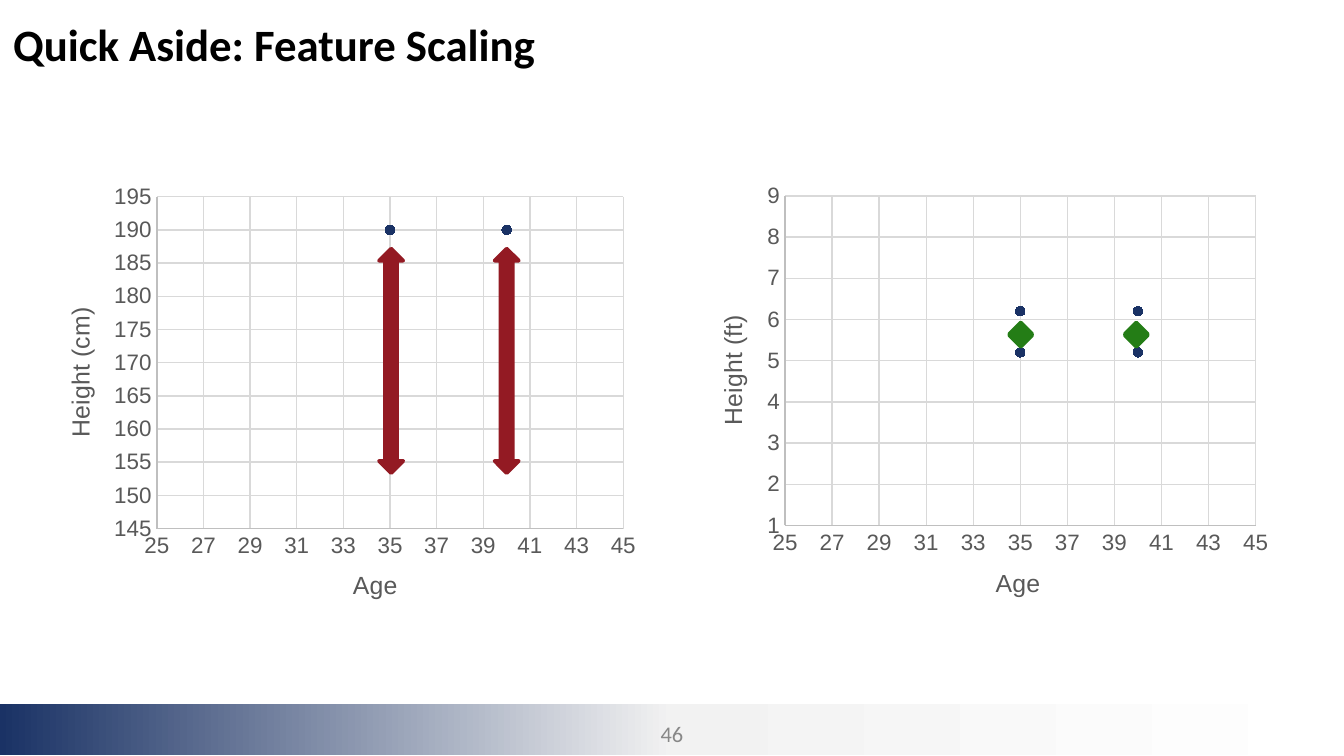
import copy
from dataclasses import dataclass

import lxml.etree
import pptx
import pptx.chart.data
import pptx.dml.color
import pptx.enum.chart
import pptx.enum.shapes
import pptx.enum.text
import pptx.oxml.ns
import pptx.util

Inches = pptx.util.Inches
Pt = pptx.util.Pt
qn = pptx.oxml.ns.qn


@dataclass(frozen=True)
class Theme:
    navy: str = "1A3265"
    pale: str = "F2F2F2"
    white: str = "FFFFFF"
    black: str = "000000"
    page_number: str = "888888"
    axis_text: str = "595959"
    axis_line: str = "BFBFBF"
    grid: str = "D9D9D9"
    red: str = "931A23"
    green: str = "247D16"
    heading_font: str = "Calibri"
    chart_font: str = "Arial"
    heading_size: float = 24
    number_size: float = 12
    label_size: float = 12
    axis_title_size: float = 13.3


THEME = Theme()


@dataclass(frozen=True)
class ScatterPanel:
    left: float
    unit: str
    tall: float
    short: float
    low: float
    high: float
    step: float
    plot: tuple
    age_title_at: tuple
    height_title_at: tuple


@dataclass(frozen=True)
class GapArrow:
    left: float
    top: float
    width: float
    height: float
    color: str


AGES = (35, 40)
PANELS = (
    ScatterPanel(0.44, "cm", 190, 160, 145, 195, 5, (0.165, 0.03, 0.787, 0.784),
                 (0.488, 0.898), (0.001, 0.28)),
    ScatterPanel(5.14, "ft", 6.2, 5.2, 1, 9, 1, (0.159, 0.021, 0.794, 0.784),
                 (0.507, 0.894), (0.036, 0.295)),
)
ARROW_SPACING = 0.86
ARROWS = [
    GapArrow(left + index * ARROW_SPACING, top, width, height, color)
    for left, top, width, height, color in (
        (2.82, 1.85, 0.18, 1.67, THEME.red),
        (7.51, 2.4, 0.17, 0.18, THEME.green),
    )
    for index in range(len(AGES))
]


def rgb(color: str) -> pptx.dml.color.RGBColor:
    return pptx.dml.color.RGBColor.from_string(color)


def style_font(font, name: str, size: float, color: str, bold: bool = False) -> None:
    font.name, font.size, font.bold = name, Pt(size), bold
    font.color.rgb = rgb(color)


def add_footer_band(page) -> None:
    band = page.shapes.add_shape(pptx.enum.shapes.MSO_SHAPE.RECTANGLE,
                                 Inches(0), Inches(5.24), Inches(10), Inches(0.38))
    band.shadow.inherit = False
    band.line.fill.background()
    band.fill.gradient()
    band.fill.gradient_angle = 0
    # A third stop is needed between the two default ones
    stop_list = band._element.spPr.find(qn("a:gradFill")).find(qn("a:gsLst"))
    stop_list.insert(1, copy.deepcopy(stop_list[0]))
    colors = (THEME.navy, THEME.pale, THEME.white)
    for stop, position, color in zip(band.fill.gradient_stops, (0, 0.5, 1), colors):
        stop.position = position
        stop.color.rgb = rgb(color)


def add_label(page, text: str, frame: tuple, inset: float, size: float, color: str,
              align, bold: bool = False) -> None:
    box = page.shapes.add_textbox(*map(Inches, frame))
    text_frame = box.text_frame
    text_frame.word_wrap = True
    text_frame.vertical_anchor = pptx.enum.text.MSO_ANCHOR.MIDDLE
    text_frame.margin_top = text_frame.margin_bottom = Inches(inset)
    text_frame.text = text
    para = text_frame.paragraphs[0]
    para.alignment = align
    style_font(para.runs[0].font, THEME.heading_font, size, color, bold)


def make_layout(inner: bool, **fractions: float):
    layout = lxml.etree.Element(qn("c:layout"))
    manual = lxml.etree.SubElement(layout, qn("c:manualLayout"))
    settings = {"layoutTarget": "inner"} if inner else {}
    settings.update(xMode="edge", yMode="edge", **fractions)
    for tag, value in settings.items():
        lxml.etree.SubElement(manual, qn("c:" + tag)).set("val", str(value))
    return layout


def remove_layout(parent) -> None:
    for old in parent.findall(qn("c:layout")):
        parent.remove(old)


def style_axis(axis, title: str, title_at: tuple, low: float, high: float,
               step: float, rotation: int) -> None:
    axis.minimum_scale, axis.maximum_scale, axis.major_unit = low, high, step
    axis.major_tick_mark = axis.minor_tick_mark = pptx.enum.chart.XL_TICK_MARK.NONE
    axis.has_major_gridlines = True
    for line, color in ((axis.format.line, THEME.axis_line),
                        (axis.major_gridlines.format.line, THEME.grid)):
        line.color.rgb = rgb(color)
        line.width = Pt(0.75)
    axis.tick_labels.number_format = "General"
    axis.tick_labels.number_format_is_linked = False
    style_font(axis.tick_labels.font, THEME.chart_font, THEME.label_size, THEME.axis_text)

    text_frame = axis.axis_title.text_frame
    text_frame.text = title
    style_font(text_frame.paragraphs[0].runs[0].font, THEME.chart_font,
               THEME.axis_title_size, THEME.axis_text)
    element = axis.axis_title._element
    element.find(".//" + qn("a:bodyPr")).set("rot", str(rotation))
    remove_layout(element)
    element.find(qn("c:tx")).addnext(make_layout(False, x=title_at[0], y=title_at[1]))


def add_scatter(page, panel: ScatterPanel) -> None:
    data = pptx.chart.data.XyChartData()
    points = data.add_series("Series 1")
    for height in (panel.tall, panel.short):
        for age in AGES:
            points.add_data_point(age, height)
    chart = page.shapes.add_chart(
        pptx.enum.chart.XL_CHART_TYPE.XY_SCATTER, Inches(panel.left), Inches(1.37),
        Inches(4.41), Inches(3.15), data).chart
    chart.has_legend = chart.has_title = False
    style_font(chart.font, THEME.chart_font, 10, THEME.black)
    plot = chart.plots[0]
    plot.vary_by_categories = False

    # Markers only, with no joining line
    series = plot.series[0]
    series.smooth = False
    series.format.line.fill.background()
    series.marker.style = pptx.enum.chart.XL_MARKER_STYLE.CIRCLE
    series.marker.size = 5
    series.marker.format.fill.solid()
    series.marker.format.fill.fore_color.rgb = rgb(THEME.navy)
    series.marker.format.line.color.rgb = rgb(THEME.navy)

    style_axis(chart.category_axis, "Age", panel.age_title_at, 25, 45, 2, 0)
    style_axis(chart.value_axis, f"Height ({panel.unit})", panel.height_title_at,
               panel.low, panel.high, panel.step, -5400000)
    area = chart._chartSpace.find(".//" + qn("c:plotArea"))
    remove_layout(area)
    area.insert(0, make_layout(True, **dict(zip("xywh", panel.plot))))


def add_gap_arrow(page, arrow: GapArrow) -> None:
    shape = page.shapes.add_shape(
        pptx.enum.shapes.MSO_SHAPE.UP_DOWN_ARROW, Inches(arrow.left), Inches(arrow.top),
        Inches(arrow.width), Inches(arrow.height))
    shape.shadow.inherit = False
    shape.fill.solid()
    shape.fill.fore_color.rgb = shape.line.color.rgb = rgb(arrow.color)
    shape.line.width = Pt(2)
    lxml.etree.SubElement(shape._element.spPr.find(qn("a:ln")), qn("a:round"))


def main() -> None:
    deck = pptx.Presentation()
    deck.slide_width, deck.slide_height = Inches(10), Inches(10 * 9 / 16)
    page = deck.slides.add_slide(deck.slide_layouts[6])

    # Footer, heading and page number
    add_footer_band(page)
    align = pptx.enum.text.PP_ALIGN
    add_label(page, "Quick Aside: Feature Scaling", (0, 0, 10, 0.65), 0.1,
              THEME.heading_size, THEME.black, align.LEFT, bold=True)
    add_label(page, "46", (4.75, 5.31, 0.5, 0.3), 0.05,
              THEME.number_size, THEME.page_number, align.CENTER)

    # Charts, then the arrows marking the height gaps
    for panel in PANELS:
        add_scatter(page, panel)
    for arrow in ARROWS:
        add_gap_arrow(page, arrow)
    deck.save("out.pptx")


if __name__ == "__main__":
    main()
